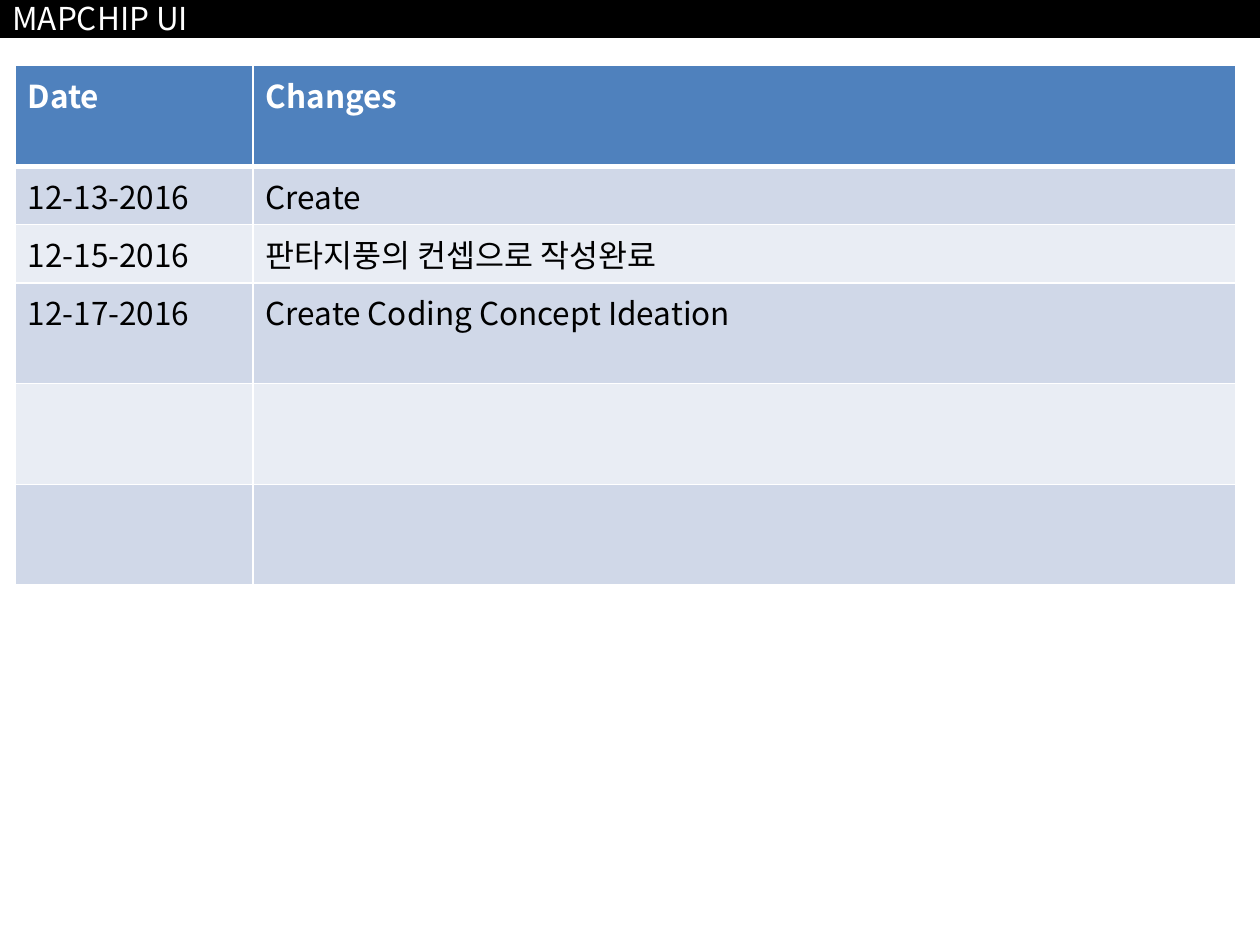
from lxml.etree import SubElement
from pptx import Presentation
from pptx.dml.color import RGBColor
from pptx.enum.shapes import MSO_SHAPE as Shape
from pptx.enum.text import MSO_ANCHOR as Anchor, PP_ALIGN as Align
from pptx.oxml.ns import qn
from pptx.util import Inches, Pt


def color(hex_string):
    return RGBColor.from_string(hex_string)


def paint(target, hex_string):
    target.fill.solid()
    target.fill.fore_color.rgb = color(hex_string)


def write(frame, text, font="Noto Sans CJK KR", size=18, ink="000000", bold=False):
    paragraph = frame.paragraphs[0]
    paragraph.alignment = Align.LEFT
    run = paragraph.add_run()
    run.text = text
    run.font.name = font
    run.font.size = Pt(size)
    run.font.bold = bold
    run.font.color.rgb = color(ink)
    # Korean glyphs take the East Asian typeface.
    SubElement(run.font._element, qn("a:ea"), typeface=font)


def add_borders(cell, hex_string, bottom=1):
    properties = cell._tc.get_or_add_tcPr()
    for side, width in {"L": 1, "R": 1, "T": 1, "B": bottom}.items():
        line = SubElement(properties, qn(f"a:ln{side}"), w=str(Pt(width)))
        fill = SubElement(line, qn("a:solidFill"))
        SubElement(fill, qn("a:srgbClr"), val=hex_string)


class SlideBuilder:
    WHITE = "FFFFFF"
    BLACK = "000000"
    HEADER = "4F81BD"
    BANDS = ("D0D8E8", "E9EDF4")

    def __init__(self, slide):
        self.slide = slide

    def title_bar(self, text, width, height):
        bar = self.slide.shapes.add_shape(
            Shape.RECTANGLE, 0, 0, Inches(width), Inches(height))
        bar.shadow.inherit = False
        paint(bar, self.BLACK)
        bar.line.color.rgb = color(self.BLACK)
        bar.line.width = Pt(2)
        bar.text_frame.vertical_anchor = Anchor.MIDDLE
        write(bar.text_frame, text, ink=self.WHITE)

    def table(self, rows, left, top, widths, heights):
        table = self.slide.shapes.add_table(
            len(rows), len(widths), Inches(left), Inches(top),
            Inches(sum(widths)), Inches(sum(heights))).table
        for column, width in zip(table.columns, widths):
            column.width = Inches(width)
        for index, (row, height) in enumerate(zip(rows, heights)):
            table.rows[index].height = Inches(height)
            is_header = index == 0
            fill = self.HEADER if is_header else self.BANDS[(index - 1) % 2]
            ink = self.WHITE if is_header else self.BLACK
            for cell, text in zip(table.rows[index].cells, row):
                add_borders(cell, self.WHITE, bottom=3 if is_header else 1)
                paint(cell, fill)
                if text:
                    write(cell.text_frame, text, ink=ink, bold=is_header)


CHANGES = [
    ("Date", "Changes"),
    ("12-13-2016", "Create"),
    ("12-15-2016", "판타지풍의 컨셉으로 작성완료"),
    ("12-17-2016", "Create Coding Concept Ideation"),
    ("", ""),
    ("", ""),
]


def main():
    presentation = Presentation()
    presentation.slide_width = Inches(10)
    presentation.slide_height = Inches(7.5)
    builder = SlideBuilder(presentation.slides.add_slide(presentation.slide_layouts[6]))
    builder.title_bar("MAPCHIP UI", width=10, height=0.29)
    builder.table(CHANGES, left=0.12, top=0.52, widths=[1.89, 7.8],
                  heights=[0.8, 0.38, 0.37, 0.8, 0.8, 0.8])
    presentation.save("out.pptx")


if __name__ == "__main__":
    main()
